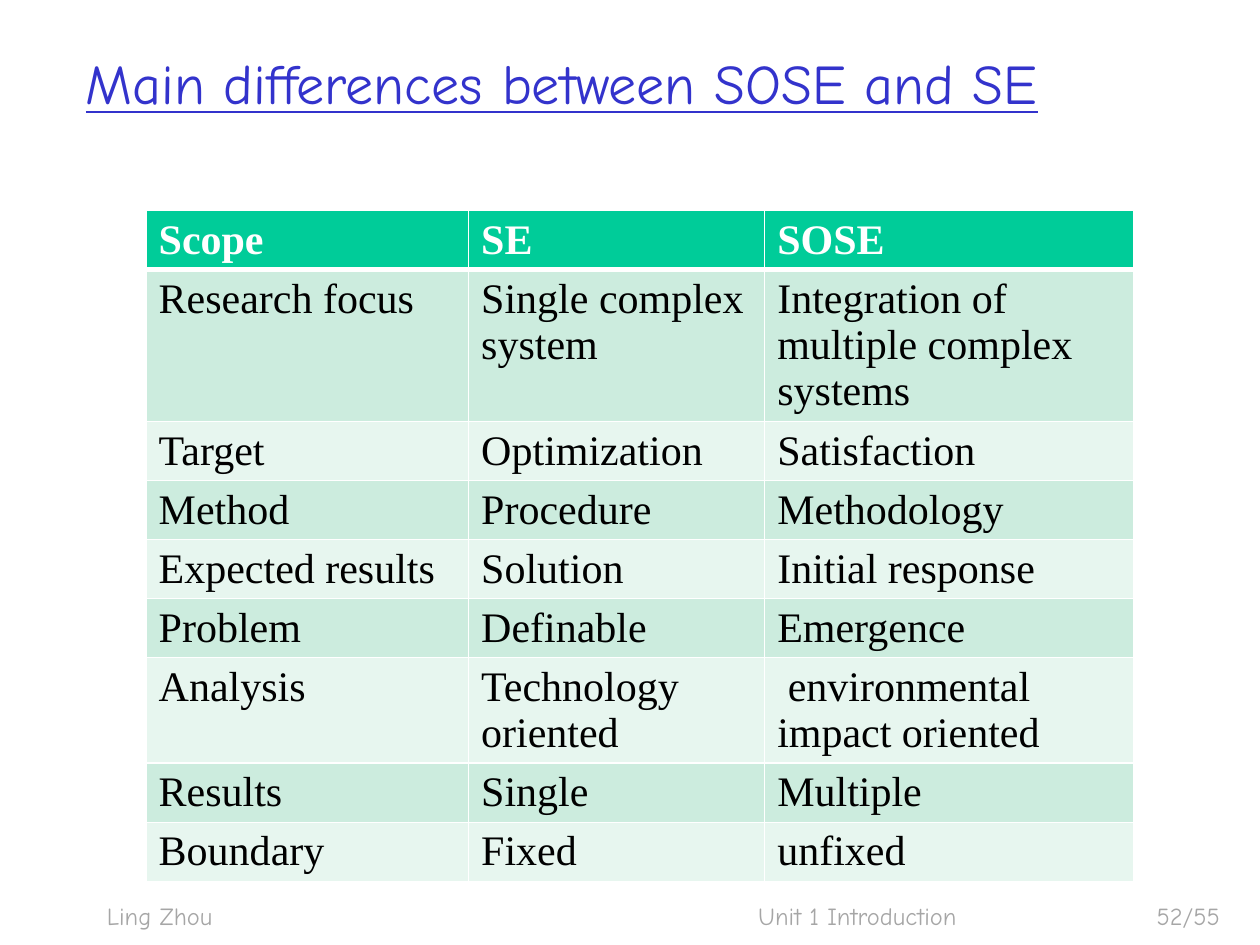
from lxml.etree import SubElement as Sub
from pptx import Presentation
from pptx.dml.color import RGBColor as RGB
from pptx.enum.text import MSO_ANCHOR as Anchor, PP_ALIGN as Align
from pptx.oxml.ns import qn
from pptx.util import Pt

BLUE = RGB(0x33, 0x33, 0xCC)
GREEN = RGB(0x00, 0xCC, 0x99)
MINT = RGB(0xCC, 0xEC, 0xDE)
PALE = RGB(0xE7, 0xF6, 0xEF)
GRAY = RGB(0xA6, 0xA6, 0xA6)
WHITE = RGB(0xFF, 0xFF, 0xFF)
BLACK = RGB(0x00, 0x00, 0x00)

ROWS = [
    ("Scope", "SE", "SOSE"),
    ("Research focus", "Single complex system", "Integration of multiple complex systems"),
    ("Target", "Optimization", "Satisfaction"),
    ("Method", "Procedure", "Methodology"),
    ("Expected results", "Solution", "Initial response"),
    ("Problem", "Definable", "Emergence"),
    ("Analysis", "Technology oriented", " environmental impact oriented"),
    ("Results", "Single", "Multiple"),
    ("Boundary", "Fixed", "unfixed"),
]
COLS = (184.3, 169.2, 211)
FOOT = [
    ("Ling Zhou", 54, 149.8),
    ("Unit 1 Introduction", 426.2, 228.2),
    ("52/55", 653.8, 66.2),
]


class Deck:
    hand = "Comic Neue"
    serif = "Times New Roman"

    def __init__(self, wide, high):
        self.prs = Presentation()
        self.prs.slide_width, self.prs.slide_height = Pt(wide), Pt(high)
        self.slide = self.prs.slides.add_slide(self.prs.slide_layouts[5])

    def text(self, frame, words, color, size, **look):
        frame.word_wrap = True
        para = frame.paragraphs[0]
        para.alignment = Align.LEFT
        run = para.add_run()
        run.text = words
        run.font.color.rgb = color
        for key, val in {"name": self.hand, "size": Pt(size), **look}.items():
            setattr(run.font, key, val)

    def title(self, words, left, top, wide, high):
        box = self.slide.shapes.title
        box.left, box.top, box.width, box.height = map(Pt, (left, top, wide, high))
        box.text_frame.vertical_anchor = Anchor.MIDDLE
        self.text(box.text_frame, words, BLUE, 32, underline=True)

    def label(self, words, left, top, wide, high):
        box = self.slide.shapes.add_textbox(*map(Pt, (left, top, wide, high)))
        self.text(box.text_frame, words, GRAY, 14)

    def edge(self, cell, sides):
        props = cell._tc.get_or_add_tcPr()
        for spot, (side, wide) in enumerate(sides.items()):
            line = Sub(props, qn(f"a:ln{side}"), w=str(Pt(wide)))
            fill = Sub(line, qn("a:solidFill"))
            Sub(fill, qn("a:srgbClr"), val=str(WHITE))
            props.insert(spot, line)

    def table(self, rows, cols, left, top, step):
        size = (left, top, sum(cols), step * len(rows))
        grid = self.slide.shapes.add_table(len(rows), len(cols), *map(Pt, size)).table
        for col, wide in zip(grid.columns, cols):
            col.width = Pt(wide)
        for r, row in enumerate(rows):
            head = r == 0
            tint = GREEN if head else MINT if r % 2 else PALE
            ink = WHITE if head else BLACK
            sides = {"L": 1, "R": 1, "T": 3 if r == 1 else 1, "B": 3 if head else 1}
            for c, words in enumerate(row):
                cell = grid.cell(r, c)
                cell.fill.solid()
                cell.fill.fore_color.rgb = tint
                self.edge(cell, sides)
                self.text(cell.text_frame, words, ink, 24, name=self.serif, bold=head)


def main():
    deck = Deck(720, 540)
    deck.title("Main differences between SOSE and SE", 41.8, 18, 640.8, 58.3)
    deck.table(ROWS, COLS, 83.5, 120.2, 29.5)
    for words, left, wide in FOOT:
        deck.label(words, left, 511.2, wide, 36)
    deck.prs.save("out.pptx")


if __name__ == "__main__":
    main()
